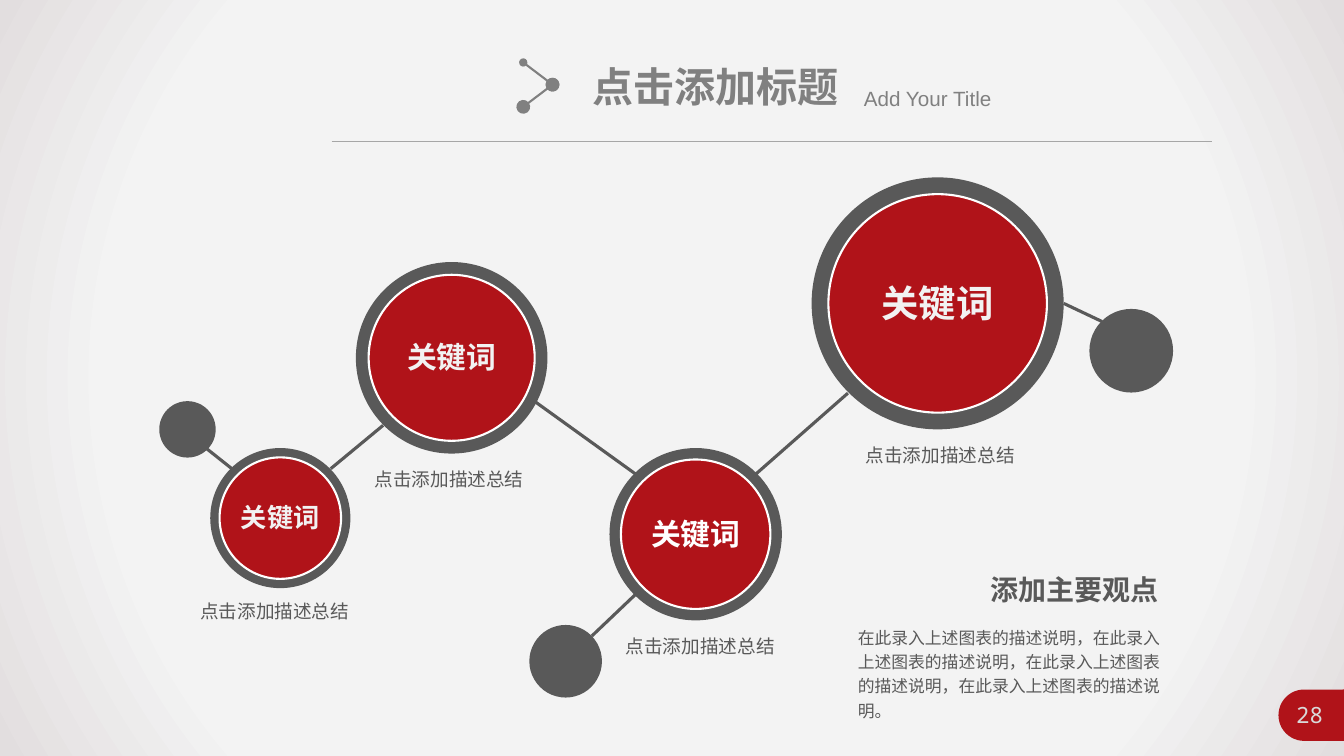
from dataclasses import dataclass

from lxml import etree
from pptx import Presentation
from pptx.dml.color import RGBColor
from pptx.enum.shapes import MSO_CONNECTOR, MSO_SHAPE as SHAPE
from pptx.enum.text import MSO_ANCHOR as ANCHOR, PP_ALIGN as ALIGN
from pptx.oxml import parse_xml
from pptx.oxml.ns import nsdecls, qn
from pptx.util import Inches, Pt


@dataclass(frozen=True)
class Theme:
    red: str = "B01319"
    dark: str = "595959"
    gray: str = "808080"
    rule: str = "A6A6A6"
    white: str = "FFFFFF"
    light: str = "F2F2F2"
    number: str = "D9D9D9"
    backdrop: tuple = ((0, "F5F5F5"), (73, "F3F3F3"), (100, "E2DEDF"))
    cjk: str = "Noto Sans CJK SC"
    latin: str = "Arial"
    mono: str = "Noto Sans Mono"
    title: float = 29.3
    subtitle: float = 14.7
    heading: float = 20
    body: float = 12
    caption: float = 13.3
    page: float = 16


T = Theme()
prs = Presentation()
prs.slide_width, prs.slide_height = Inches(13.33), Inches(7.5)
s = prs.slides.add_slide(prs.slide_layouts[6])


def add_text(text, box, size, color, font=T.cjk, bold=False, align=ALIGN.LEFT,
             wrap=True, spacing=None, anchor=ANCHOR.TOP, inset=(0.1, 0.05)):
    tf = s.shapes.add_textbox(*map(Inches, box)).text_frame
    tf.word_wrap = wrap
    tf.vertical_anchor = anchor
    tf.margin_left = tf.margin_right = Inches(inset[0])
    tf.margin_top = tf.margin_bottom = Inches(inset[1])
    p = tf.paragraphs[0]
    p.text = text
    p.alignment = align
    p.line_spacing = spacing
    p.font.size, p.font.bold, p.font.name = Pt(size), bold, font
    p.font.color.rgb = RGBColor.from_string(color)
    east_asian = T.cjk if font == T.latin else font
    etree.SubElement(p._p.pPr.find(qn("a:defRPr")), qn("a:ea"), typeface=east_asian)


def add_line(start, end, color, width, dots=None):
    """Draw a line; dots gives the sizes of the round ends, start then end."""
    line = s.shapes.add_connector(MSO_CONNECTOR.STRAIGHT, *map(Inches, start + end))
    line.line.color.rgb = RGBColor.from_string(color)
    line.line.width = Pt(width)
    for tag, dot in zip(("a:headEnd", "a:tailEnd"), dots or ()):
        etree.SubElement(line.line._get_or_add_ln(), qn(tag), type="oval", w=dot, len=dot)
    etree.SubElement(line._element.spPr, qn("a:effectLst"))


# Backdrop, rule and page tab
backdrop = s.shapes.add_shape(SHAPE.RECTANGLE, 0, 0, prs.slide_width, prs.slide_height)
backdrop.shadow.inherit = False
backdrop.line.fill.background()
backdrop.fill.background()
stops = "".join(f'<a:gs pos="{pos * 1000}"><a:srgbClr val="{color}"/></a:gs>'
                for pos, color in T.backdrop)
spPr = backdrop._element.spPr
spPr.replace(spPr.find(qn("a:noFill")), parse_xml(
    f'<a:gradFill {nsdecls("a")} rotWithShape="1"><a:gsLst>{stops}</a:gsLst>'
    '<a:path path="circle"><a:fillToRect l="50000" t="50000" r="50000" b="50000"/>'
    '</a:path></a:gradFill>'))

add_line((3.29, 1.4), (12.02, 1.4), T.rule, 0.5)

# The tab is drawn upright and turned so its round end faces left
tab = s.shapes.add_shape(SHAPE.ROUND_2_SAME_RECTANGLE,
                         Inches(12.83), Inches(6.69), Inches(0.51), Inches(0.81))
tab.adjustments[0] = 0.5
tab.rotation = 270
tab.shadow.inherit = False
tab.fill.solid()
tab.fill.fore_color.rgb = RGBColor.from_string(T.red)
tab.line.fill.background()
add_text("28", (12.66, 6.91, 0.66, 0.37), T.page, T.number, T.mono, align=ALIGN.CENTER)

# Title with its node icon
add_text("点击添加标题", (5.78, 0.56, 2.67, 0.59), T.title, T.gray, T.latin,
         bold=True, wrap=False)
add_text("Add Your Title", (8.47, 0.8, 2.52, 0.35), T.subtitle, T.gray, T.latin)
add_line((5.19, 0.62), (5.48, 0.84), T.gray, 1.5, ("med", "lg"))
add_line((5.48, 0.84), (5.19, 1.06), T.gray, 1.5, ("lg", "lg"))

# Links between the nodes
for start, end in [
    ((3.28, 4.65), (3.8, 4.22)), ((5.3, 3.98), (6.3, 4.7)),
    ((7.5, 4.7), (8.41, 3.9)), ((1.91, 4.34), (2.3, 4.65)),
    ((5.87, 6.31), (6.3, 5.9)), ((10.55, 3.01), (10.93, 3.19)),
]:
    add_line(start, end, T.dark, 2.25)

# Circles: each keyword node is a ring with a disc of fixed proportion inside
DISC_RATIO = 0.867
keywords = [  # centre x, centre y, ring diameter, type size, colour
    (2.78, 5.14, 1.39, 18.7, T.light),
    (4.48, 3.55, 1.9, 21.3, T.light),
    (6.9, 5.3, 1.71, 21.3, T.white),
    (9.3, 3.01, 2.5, 26.7, T.light),
]
satellites = [(1.86, 4.26, 0.56), (5.61, 6.56, 0.72), (11.22, 3.48, 0.83)]
circles = [(x, y, d, T.dark) for x, y, d in satellites]
for x, y, d, *_ in keywords:
    circles += [(x, y, d, T.dark), (x, y, d * DISC_RATIO, T.red)]
for x, y, d, color in circles:
    sp = s.shapes.add_shape(SHAPE.OVAL, *map(Inches, (x - d / 2, y - d / 2, d, d)))
    sp.shadow.inherit = False
    sp.fill.solid()
    sp.fill.fore_color.rgb = RGBColor.from_string(color)
    if color == T.red:
        sp.line.color.rgb = RGBColor.from_string(T.white)
        sp.line.width = Pt(1.5)
    else:
        sp.line.fill.background()

for x, y, _, size, color in keywords:
    w, h = 3 * size / 72 + 0.2, size * 0.0215
    add_text("关键词", (x - w / 2, y - 0.01 - h / 2, w, h), size, color, bold=True,
             align=ALIGN.CENTER, wrap=False, anchor=ANCHOR.MIDDLE)

# Captions and summary
for left, top in [(1.73, 5.85), (3.46, 4.54), (5.95, 6.2), (8.33, 4.3)]:
    add_text("点击添加描述总结", (left, top, 1.99, 0.39), T.caption, T.dark,
             align=ALIGN.CENTER, spacing=Pt(18.8), inset=(0.12, 0.06))
add_text("添加主要观点", (8.23, 5.62, 3.39, 0.46), T.heading, T.dark, bold=True,
         align=ALIGN.RIGHT, inset=(0.13, 0.06))
add_text("在此录入上述图表的描述说明，在此录入上述图表的描述说明，"
         "在此录入上述图表的描述说明，在此录入上述图表的描述说明。",
         (8.41, 6.14, 3.33, 1.07), T.body, T.dark, spacing=1.2)

prs.save("out.pptx")
